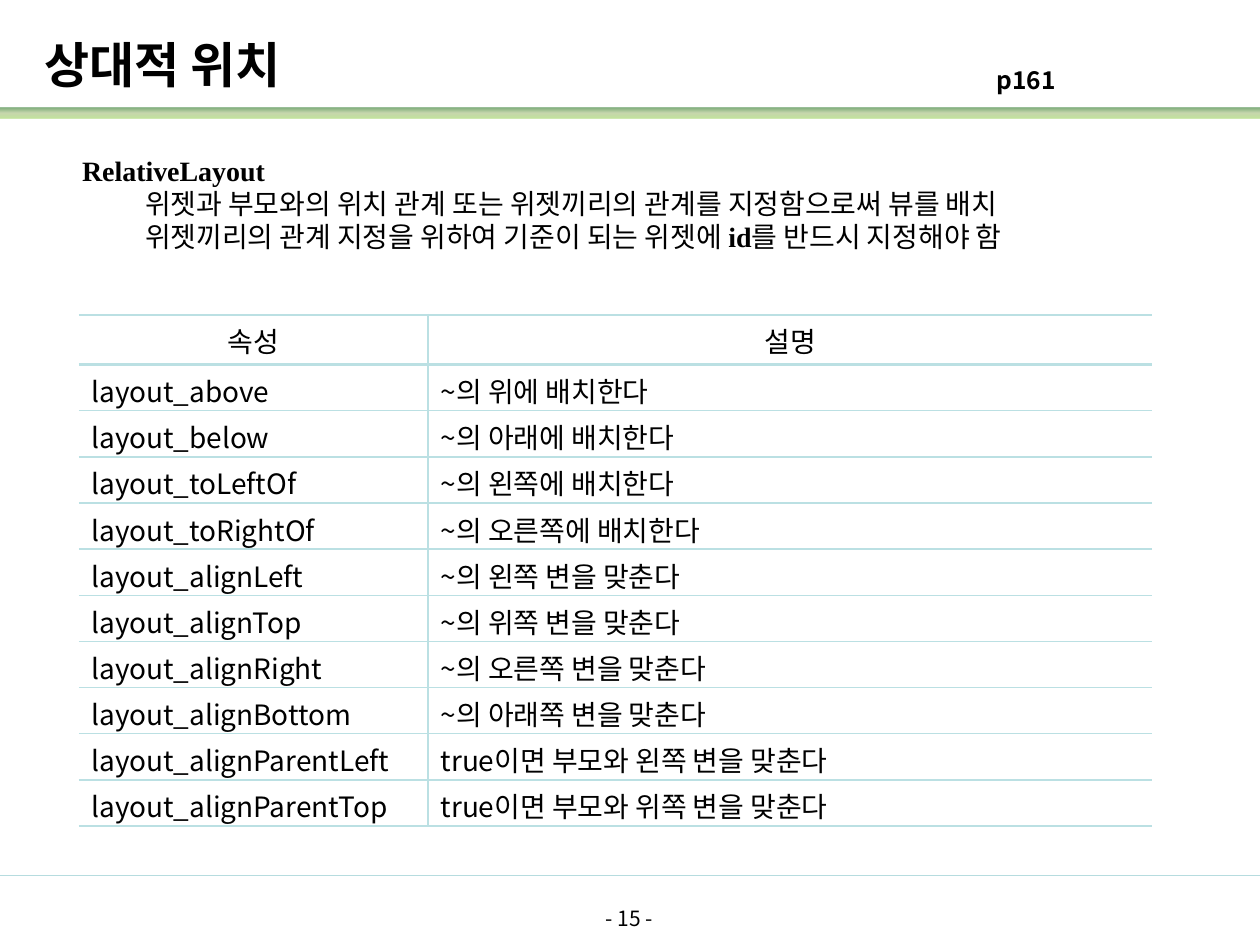
from dataclasses import dataclass

from lxml import etree
from pptx import Presentation
from pptx.dml.color import RGBColor
from pptx.enum.shapes import MSO_CONNECTOR, MSO_SHAPE
from pptx.enum.text import MSO_ANCHOR, MSO_AUTO_SIZE, PP_ALIGN
from pptx.oxml.ns import qn
from pptx.util import Cm, Pt

LINE = MSO_CONNECTOR.STRAIGHT
RECT = MSO_SHAPE.RECTANGLE
MIDDLE = MSO_ANCHOR.MIDDLE
TOP = MSO_ANCHOR.TOP
NO_FIT = MSO_AUTO_SIZE.NONE
LEFT = PP_ALIGN.LEFT
CENTER = PP_ALIGN.CENTER


@dataclass(frozen=True)
class Theme:
    sans: str = "Noto Sans CJK KR"
    serif: str = "Times New Roman"
    ink: str = "000000"
    rule: str = "B6DCDF"
    grid: str = "BBE0E3"
    band: tuple = ((0, "92D050"), (50, "9CB86E"), (100, "156B13"))
    alpha: int = 56
    title: int = 28
    text: int = 16
    page: int = 14
    foot: int = 12


def add(node, tag, **attrs):
    return etree.SubElement(node, qn(tag), {k: str(v) for k, v in attrs.items()})


def place(shape, x, y, w, h):
    shape.left, shape.top, shape.width, shape.height = Cm(x), Cm(y), Cm(w), Cm(h)


class Deck:
    def __init__(self, theme):
        self.theme = theme
        self.show = Presentation()
        self.show.slide_width = Cm(25.4)
        self.show.slide_height = Cm(19.05)
        self.slide = self.show.slides.add_slide(self.show.slide_layouts[1])

    def style(self, para, size, bold=False, align=LEFT, face=None):
        para.alignment = align
        font = para.font
        font.size = Pt(size)
        font.bold = bold
        font.name = face or self.theme.sans
        font.color.rgb = RGBColor.from_string(self.theme.ink)
        add(para._p.pPr.find(qn("a:defRPr")), "a:ea", typeface=self.theme.sans)

    def band(self, y, h):
        shape = self.slide.shapes.add_shape(RECT, 0, Cm(y), self.show.slide_width, Cm(h))
        shape.shadow.inherit = False
        shape.line.fill.background()
        shape.fill.gradient()
        shape.fill.gradient_angle = 90
        stops = shape._element.spPr.find(qn("a:gradFill")).find(qn("a:gsLst"))
        for stop in list(stops):
            stops.remove(stop)
        for spot, color in self.theme.band:
            stop = add(stops, "a:gs", pos=spot * 1000)
            add(add(stop, "a:srgbClr", val=color), "a:alpha", val=self.theme.alpha * 1000)

    def rule(self, y):
        line = self.slide.shapes.add_connector(LINE, 0, Cm(y), self.show.slide_width, Cm(y))
        line.line.color.rgb = RGBColor.from_string(self.theme.rule)
        line.line.width = Pt(0.75)
        add(line._element.spPr, "a:effectLst")

    def title(self, text, *box):
        shape = self.slide.shapes.title
        place(shape, *box)
        frame = shape.text_frame
        frame.text = text
        frame.auto_size = NO_FIT
        frame.vertical_anchor = MIDDLE
        frame.margin_left = frame.margin_right = 0
        self.style(frame.paragraphs[0], self.theme.title, True)

    def label(self, text, size, *box, bold=False, align=LEFT):
        shape = self.slide.shapes.add_textbox(*map(Cm, box))
        frame = shape.text_frame
        frame.word_wrap = True
        frame.text = text
        self.style(frame.paragraphs[0], size, bold, align)

    def body(self, items, *box):
        shape = self.slide.placeholders[1]
        place(shape, *box)
        frame = shape.text_frame
        frame.auto_size = NO_FIT
        frame.vertical_anchor = TOP
        for i, (level, runs) in enumerate(items):
            para = frame.add_paragraph() if i else frame.paragraphs[0]
            para.level = level
            props = para._p.get_or_add_pPr()
            props.set("marL", str(Cm(1.27 * level)))
            props.set("indent", "0")
            add(props, "a:buNone")
            para.space_before = Pt(0)
            para.line_spacing = Pt(19)
            self.style(para, self.theme.text, level == 0, face=self.theme.serif)
            for text, bold in runs:
                run = para.add_run()
                run.text = text
                if bold:
                    run.font.bold = True

    def edge(self, cell, side, width):
        line = add(cell._tc.get_or_add_tcPr(), "a:ln" + side, w=Pt(width))
        if width:
            add(add(line, "a:solidFill"), "a:srgbClr", val=self.theme.grid)
        else:
            add(line, "a:noFill")

    def table(self, rows, x, y, widths, head, step):
        high = head + step * (len(rows) - 1)
        frame = self.slide.shapes.add_table(
            len(rows), len(widths), Cm(x), Cm(y), Cm(sum(widths)), Cm(high))
        table = frame.table
        table.first_row = table.horz_banding = False
        for col, width in zip(table.columns, widths):
            col.width = Cm(width)
        for r, row in enumerate(rows):
            table.rows[r].height = Cm(step if r else head)
            for c, text in enumerate(row):
                cell = table.cell(r, c)
                cell.text = text
                cell.vertical_anchor = MIDDLE
                cell.margin_top = Cm(0.11 if r else 0)
                cell.margin_bottom = 0
                self.edge(cell, "L", 1 if c else 0)
                self.edge(cell, "R", 0 if c == len(row) - 1 else 1)
                self.edge(cell, "T", 1.5 if r < 2 else 1)
                self.edge(cell, "B", 1 if r else 1.5)
                cell.fill.background()
                self.style(cell.text_frame.paragraphs[0], self.theme.text,
                           align=LEFT if r else CENTER)

    def save(self):
        self.show.save("out.pptx")


ITEMS = [
    (0, [("RelativeLayout", False)]),
    (1, [("위젯과 부모와의 위치 관계 또는 위젯끼리의 관계를 지정함으로써 뷰를 배치", False)]),
    (1, [("위젯끼리의 관계 지정을 위하여 기준이 되는 위젯에 ", False),
         ("id", True), ("를 반드시 지정해야 함", False)]),
]

ROWS = [
    ("속성", "설명"),
    ("layout_above", "~의 위에 배치한다"),
    ("layout_below", "~의 아래에 배치한다"),
    ("layout_toLeftOf", "~의 왼쪽에 배치한다"),
    ("layout_toRightOf", "~의 오른쪽에 배치한다"),
    ("layout_alignLeft", "~의 왼쪽 변을 맞춘다"),
    ("layout_alignTop", "~의 위쪽 변을 맞춘다"),
    ("layout_alignRight", "~의 오른쪽 변을 맞춘다"),
    ("layout_alignBottom", "~의 아래쪽 변을 맞춘다"),
    ("layout_alignParentLeft", "true이면 부모와 왼쪽 변을 맞춘다"),
    ("layout_alignParentTop", "true이면 부모와 위쪽 변을 맞춘다"),
]


def main():
    theme = Theme()
    deck = Deck(theme)
    deck.band(2.18, 0.2)
    deck.rule(17.65)
    deck.label("- 15 -", theme.foot, 9.73, 18.14, 5.92, 1.32, align=CENTER)
    deck.title("상대적 위치", 0.89, 0.71, 15.54, 1.14)
    deck.label("p161", theme.page, 19.84, 1.19, 6.32, 0.86, bold=True)
    deck.body(ITEMS, 1.4, 2.97, 23.01, 2.31)
    deck.table(ROWS, 1.59, 6.35, (7.04, 14.6), 1, 0.93)
    deck.save()


if __name__ == "__main__":
    main()
